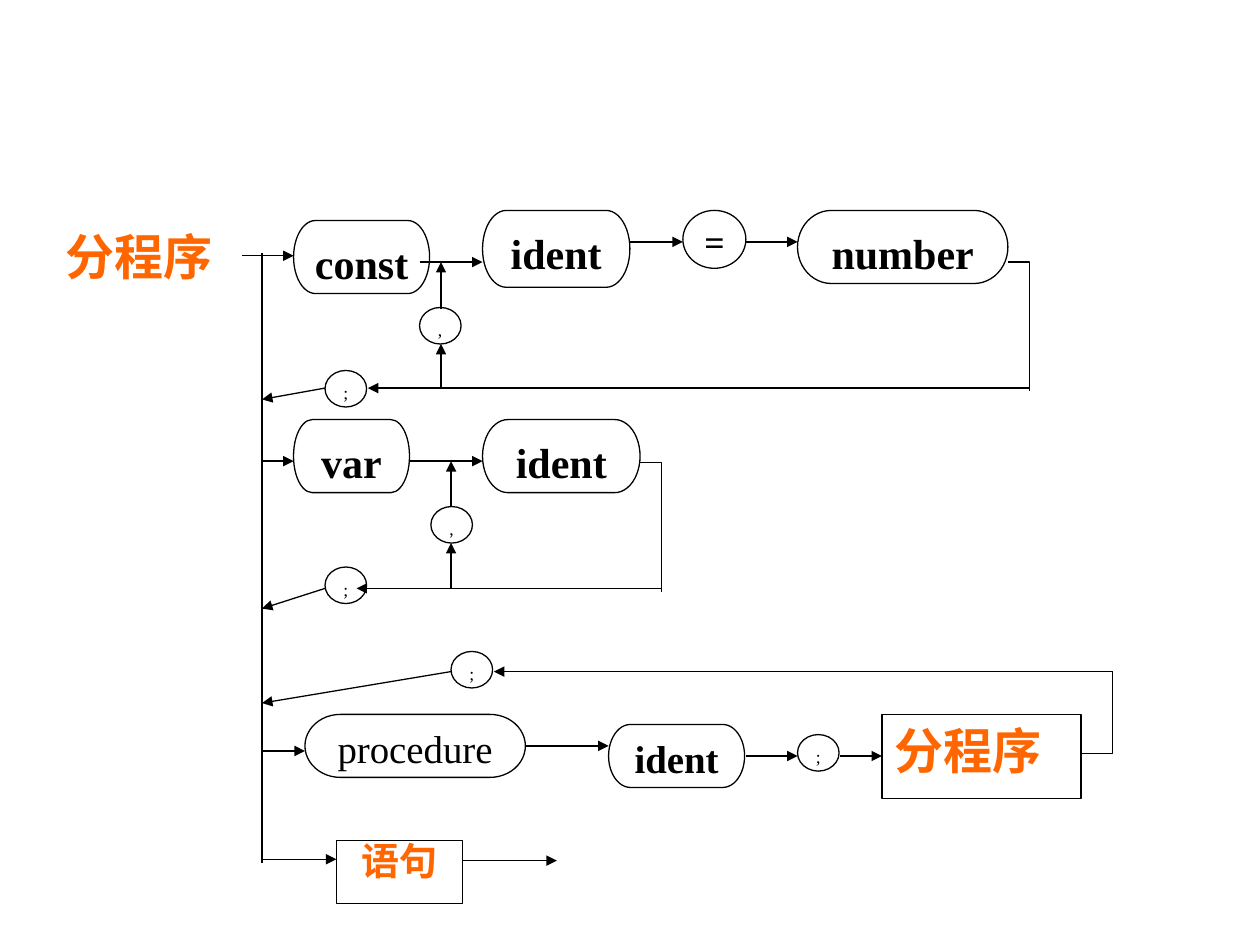
from lxml import etree
from pptx import Presentation
from pptx.dml.color import RGBColor
from pptx.enum.shapes import MSO_CONNECTOR, MSO_SHAPE
from pptx.enum.text import MSO_ANCHOR, PP_ALIGN
from pptx.oxml.ns import qn
from pptx.util import Inches, Pt

BLACK = RGBColor(0x00, 0x00, 0x00)
WHITE = RGBColor(0xFF, 0xFF, 0xFF)
ORANGE = RGBColor(0xFF, 0x66, 0x00)
LATIN, CJK = "Times New Roman", "Noto Sans CJK SC"
TERMINATOR = MSO_SHAPE.FLOWCHART_TERMINATOR
CIRCLE = MSO_SHAPE.FLOWCHART_CONNECTOR
PROCESS = MSO_SHAPE.FLOWCHART_PROCESS
STRAIGHT = MSO_CONNECTOR.STRAIGHT
CENTER, JUSTIFY, LEFT = PP_ALIGN.CENTER, PP_ALIGN.JUSTIFY, PP_ALIGN.LEFT
TOP = MSO_ANCHOR.TOP
LINE_WIDTH = Pt(0.75)
SPINE = 2.08  # x of the vertical line that joins all branches


class SyntaxDiagram:
    def __init__(self, slide):
        self.s = slide

    def outline(self, line):
        line.color.rgb = BLACK
        line.width = LINE_WIDTH

    def add_text(self, sp, text, size, color, bold, align, spacing=None, font=LATIN):
        tf = sp.text_frame
        tf.word_wrap = True
        tf.vertical_anchor = TOP
        p = tf.paragraphs[0]
        p.alignment = align
        if spacing:
            p.line_spacing = spacing
        r = p.add_run()
        r.text = text
        r.font.name = font
        r.font.size = Pt(size)
        r.font.bold = bold
        r.font.color.rgb = color
        etree.SubElement(r.font._element, qn("a:ea"), typeface=CJK)

    def node(self, kind, box, text, size=24, color=BLACK, bold=True,
             align=CENTER, spacing=None):
        sp = self.s.shapes.add_shape(kind, *map(Inches, box))
        sp.shadow.inherit = False
        sp.fill.solid()
        sp.fill.fore_color.rgb = WHITE
        self.outline(sp.line)
        self.add_text(sp, text, size, color, bold, align, spacing)

    def separator(self, x, y, text):
        self.node(CIRCLE, (x, y, 0.33, 0.29), text, 10, bold=False, align=JUSTIFY)

    def line(self, x1, y1, x2, y2, arrow=True):
        c = self.s.shapes.add_connector(STRAIGHT, *map(Inches, (x1, y1, x2, y2)))
        self.outline(c.line)
        if arrow:
            ln = c._element.spPr.find(qn("a:ln"))
            etree.SubElement(ln, qn("a:tailEnd"), type="triangle")
        etree.SubElement(c._element.spPr, qn("a:effectLst"))

    def corner(self, *points):
        start, *rest = [(Inches(x), Inches(y)) for x, y in points]
        fb = self.s.shapes.build_freeform(*start)
        fb.add_line_segments(rest, close=False)
        sp = fb.convert_to_shape()
        sp.shadow.inherit = False
        sp.fill.background()
        self.outline(sp.line)

    def label(self, box, text, size, color):
        sp = self.s.shapes.add_textbox(*map(Inches, box))
        self.add_text(sp, text, size, color, True, LEFT, font=CJK)


def main():
    prs = Presentation()
    prs.slide_width, prs.slide_height = Inches(10), Inches(7.5)
    d = SyntaxDiagram(prs.slides.add_slide(prs.slide_layouts[6]))

    nodes = [
        (2.33, 1.75, 1.08, 0.58, "const"),
        (3.83, 1.67, 1.17, 0.61, "ident"),
        (6.33, 1.67, 1.67, 0.58, "number"),
        (2.33, 3.33, 0.92, 0.58, "var"),
        (3.83, 3.33, 1.25, 0.58, "ident"),
    ]
    # The line out of "const" starts inside its box, so boxes come first.
    for *box, text in nodes:
        d.node(TERMINATOR, box, text)
    d.node(CIRCLE, (5.42, 1.67, 0.5, 0.46), "=", 20.4, align=JUSTIFY, spacing=0.9)
    d.node(TERMINATOR, (2.42, 5.67, 1.75, 0.5), "procedure", 22.2,
           bold=False, spacing=0.9)
    d.node(TERMINATOR, (4.83, 5.75, 1.08, 0.5), "ident", 22.2, spacing=0.9)
    d.node(PROCESS, (7, 5.67, 1.58, 0.67), "分程序", 28, ORANGE, align=JUSTIFY)
    d.node(PROCESS, (2.67, 6.67, 1, 0.5), "语句", 21.7, ORANGE, spacing=0.8)

    separators = [(3.33, 2.44, ","), (2.58, 2.94, ";"), (3.42, 4.02, ","),
                  (2.58, 4.5, ";"), (3.58, 5.17, ";"), (6.33, 5.83, ";")]
    for separator in separators:
        d.separator(*separator)

    d.line(SPINE, 2.01, SPINE, 6.85, arrow=False)
    d.corner((8, 2.08), (8.17, 2.08), (8.17, 3.1))
    d.corner((5.08, 3.67), (5.25, 3.67), (5.25, 4.7))
    d.corner((8.58, 5.98), (8.83, 5.98), (8.83, 5.33))

    arrows = [
        # const branch
        (1.92, 2.03, 2.33, 2.03), (3.33, 2.08, 3.83, 2.08),
        (5, 1.92, 5.42, 1.92), (5.92, 1.92, 6.33, 1.92),
        (8.17, 3.08, 2.92, 3.08), (3.5, 3.09, 3.5, 2.73),
        (3.5, 2.45, 3.5, 2.08), (2.58, 3.08, SPINE, 3.17),
        # var branch
        (SPINE, 3.66, 2.33, 3.66), (3.25, 3.66, 3.83, 3.66),
        (5.25, 4.67, 2.83, 4.67), (3.58, 4.67, 3.58, 4.31),
        (3.58, 4.02, 3.58, 3.66), (2.58, 4.67, SPINE, 4.83),
        # procedure branch
        (SPINE, 5.96, 2.42, 5.96), (4.17, 5.92, 4.83, 5.92),
        (5.92, 6, 6.33, 6), (6.67, 6, 7, 6),
        (8.83, 5.33, 3.92, 5.33), (3.58, 5.33, SPINE, 5.58),
        # statement branch
        (SPINE, 6.82, 2.67, 6.82), (3.67, 6.83, 4.42, 6.83),
    ]
    for arrow in arrows:
        d.line(*arrow)

    d.label((0.42, 1.75, 1.42, 0.57), "分程序", 28, ORANGE)
    prs.save("out.pptx")


if __name__ == "__main__":
    main()
